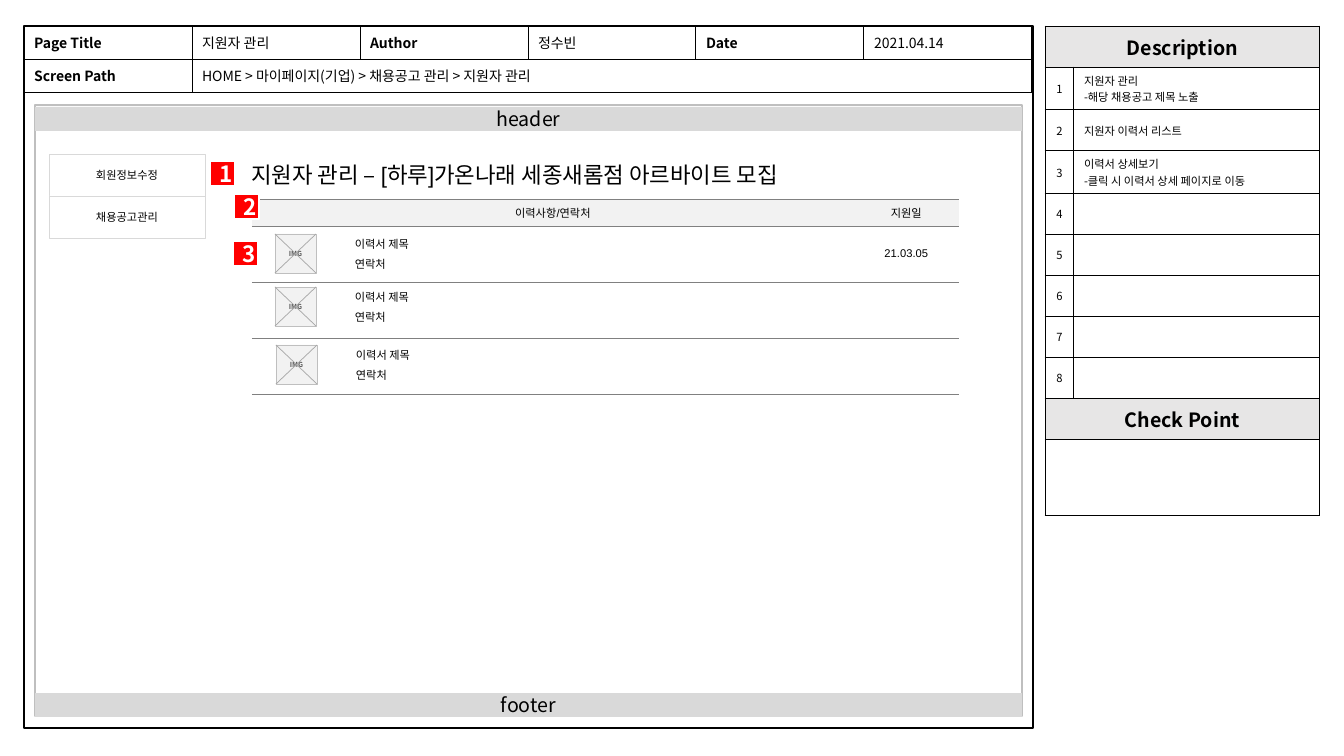
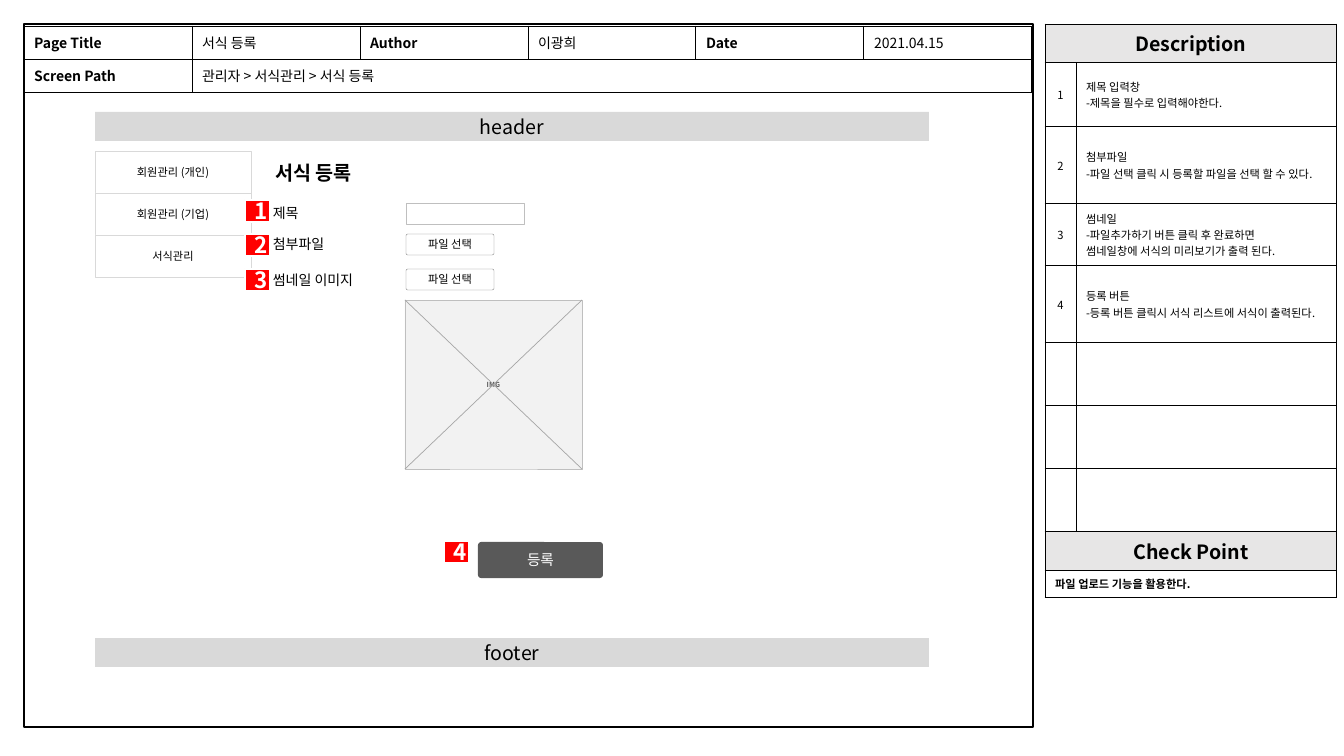
from dataclasses import dataclass

from lxml import etree
from pptx import Presentation
from pptx.dml.color import RGBColor
from pptx.enum.shapes import MSO_CONNECTOR, MSO_SHAPE
from pptx.enum.text import MSO_ANCHOR, MSO_AUTO_SIZE, PP_ALIGN
from pptx.oxml.ns import qn
from pptx.util import Emu, Pt

RECTANGLE = MSO_SHAPE.RECTANGLE
ROUNDED = MSO_SHAPE.ROUNDED_RECTANGLE
STRAIGHT = MSO_CONNECTOR.STRAIGHT
LEFT, CENTER = PP_ALIGN.LEFT, PP_ALIGN.CENTER
TOP, MIDDLE = MSO_ANCHOR.TOP, MSO_ANCHOR.MIDDLE

SLIDE_WIDTH, SLIDE_HEIGHT = 1344, 756
EMU_PER_PX = 12192000 / SLIDE_WIDTH
NOTO, ARIAL, CALIBRI = "Noto Sans CJK KR", "Arial", "Calibri"
BLACK, WHITE, RED = "000000", "FFFFFF", "FF0000"
BAND, HEADING, PALE = "D9D9D9", "E7E6E6", "F2F2F2"
OUTLINE, CROSS, RULE, DARK = "BFBFBF", "A6A6A6", "808080", "595959"
TITLE_ONLY_LAYOUT = 5
MENU_PITCH = 42
BUTTON_ROUNDING = 0.09


@dataclass(frozen=True)
class Box:
    left: int
    top: int
    width: int
    height: int


@dataclass(frozen=True)
class Screen:
    page_title: str
    author: str
    date: str
    screen_path: str
    frame: Box
    header: Box
    footer: Box
    menu: Box
    menu_items: tuple[str, ...]
    note_columns: tuple[int, int]
    note_rows: tuple[int, ...]
    notes: tuple[tuple[str, str], ...]
    check_point: str
    title: str
    title_box: Box
    title_size: int
    title_bold: bool
    badges: tuple[Box, ...]


@dataclass(frozen=True)
class Resume:
    left: int
    top: int


@dataclass(frozen=True)
class Field:
    label: str
    top: int


APPLICANTS = Screen(
    page_title="지원자 관리", author="정수빈", date="2021.04.14",
    screen_path="HOME > 마이페이지(기업) > 채용공고 관리 > 지원자 관리",
    frame=Box(24, 26, 1009, 702),
    header=Box(35, 107, 987, 24), footer=Box(35, 693, 987, 24),
    menu=Box(49, 154, 156, MENU_PITCH),
    menu_items=("회원정보수정", "채용공고관리"),
    note_columns=(29, 246), note_rows=(41,) * 10 + (76,),
    notes=(
        ("1", "지원자 관리\n-해당 채용공고 제목 노출"),
        ("2", "지원자 이력서 리스트"),
        ("3", "이력서 상세보기\n-클릭 시 이력서 상세 페이지로 이동"),
        ("4", ""), ("5", ""), ("6", ""), ("7", ""), ("8", ""),
    ),
    check_point="",
    title="지원자 관리 – [하루]가온나래 세종새롬점 아르바이트 모집",
    title_box=Box(241, 156, 631, 64), title_size=16, title_bold=False,
    badges=(Box(210, 161, 25, 25), Box(234, 194, 25, 25), Box(233, 241, 25, 25)),
)
FORMS = Screen(
    page_title="서식 등록", author="이광희", date="2021.04.15",
    screen_path="관리자 > 서식관리 > 서식 등록",
    frame=Box(24, 24, 1009, 703),
    header=Box(95, 112, 834, 29), footer=Box(95, 638, 834, 29),
    menu=Box(95, 151, 156, MENU_PITCH),
    menu_items=("회원관리 (개인)", "회원관리 (기업)", "서식관리"),
    note_columns=(31, 261), note_rows=(38, 64, 77, 62, 77, 63, 63, 63, 39, 26),
    notes=(
        ("1", "제목 입력창\n-제목을 필수로 입력해야한다."),
        ("2", "첨부파일\n-파일 선택 클릭 시 등록할 파일을 선택 할 수 있다."),
        ("3", "썸네일\n-파일추가하기 버튼 클릭 후 완료하면\n썸네일창에 서식의 미리보기가 출력 된다."),
        ("4", "등록 버튼\n-등록 버튼 클릭시 서식 리스트에 서식이 출력된다."),
        ("", ""), ("", ""), ("", ""),
    ),
    check_point="파일 업로드 기능을 활용한다.",
    title="서식 등록",
    title_box=Box(265, 156, 140, 34), title_size=14, title_bold=True,
    badges=(Box(245, 200, 25, 22), Box(245, 234, 25, 22),
            Box(245, 269, 25, 22), Box(444, 541, 25, 22)),
)
RESUMES = (Resume(275, 234), Resume(275, 287), Resume(276, 345))
FIELDS = (Field("제목", 200), Field("첨부파일", 231), Field("썸네일 이미지", 267))


def px(length: int) -> Emu:
    return Emu(round(length * EMU_PER_PX))


def place(box: Box) -> tuple[Emu, Emu, Emu, Emu]:
    return px(box.left), px(box.top), px(box.width), px(box.height)


def color(value: str) -> RGBColor:
    return RGBColor.from_string(value)


def write_text(frame, text: str, *, size: float = 8, font: str = NOTO,
               ink: str = BLACK, bold: bool = False, align=LEFT) -> None:
    for index, line in enumerate(text.split("\n")):
        paragraph = frame.paragraphs[0] if index == 0 else frame.add_paragraph()
        paragraph.alignment = align
        run = paragraph.add_run()
        run.text = line
        run.font.size = Pt(size)
        run.font.name = font
        run.font.bold = bold
        run.font.color.rgb = color(ink)
        east_asian = etree.Element(qn("a:ea"), typeface=NOTO)
        run._r.get_or_add_rPr().find(qn("a:latin")).addnext(east_asian)


def set_margins(target, margin: int) -> None:
    target.margin_left = target.margin_right = px(margin)
    target.margin_top = target.margin_bottom = px(margin)


def add_box(shapes, box: Box, text: str = "", *, kind=RECTANGLE,
            fill: str | None = None, line: str | None = None,
            line_width: float = 1, margin: int | None = None, **text_format):
    shape = shapes.add_shape(kind, *place(box))
    shape.shadow.inherit = False
    if kind == ROUNDED:
        shape.adjustments[0] = BUTTON_ROUNDING
    if fill:
        shape.fill.solid()
        shape.fill.fore_color.rgb = color(fill)
    else:
        shape.fill.background()
    if line:
        shape.line.color.rgb = color(line)
        shape.line.width = Pt(line_width)
    else:
        shape.line.fill.background()
    if text:
        frame = shape.text_frame
        frame.word_wrap = True
        frame.vertical_anchor = MIDDLE
        if margin is not None:
            set_margins(frame, margin)
        write_text(frame, text, align=CENTER, **text_format)
    return shape


def add_label(slide, box: Box, text: str, **text_format) -> None:
    frame = slide.shapes.add_textbox(*place(box)).text_frame
    frame.word_wrap = True
    write_text(frame, text, **text_format)


def add_image_box(slide, box: Box) -> None:
    group = slide.shapes.add_group_shape()
    add_box(group.shapes, box, "IMG", fill=PALE, line=OUTLINE, line_width=0.5,
            size=5, ink=DARK, bold=True)
    right, bottom = box.left + box.width, box.top + box.height
    for start, end in ((box.left, right), (right, box.left)):
        connector = group.shapes.add_connector(
            STRAIGHT, px(start), px(box.top), px(end), px(bottom))
        connector.line.color.rgb = color(CROSS)
        connector.line.width = Pt(0.5)
        etree.SubElement(connector.element.spPr, qn("a:effectLst"))


def set_borders(cell, ink: str, width: float, sides: str) -> None:
    properties = cell._tc.get_or_add_tcPr()
    for index, side in enumerate("LRTB"):
        border = etree.Element(qn(f"a:ln{side}"), w=str(Pt(width)))
        if side in sides:
            solid = etree.SubElement(border, qn("a:solidFill"))
            etree.SubElement(solid, qn("a:srgbClr"), val=ink)
        else:
            etree.SubElement(border, qn("a:noFill"))
        properties.insert(index, border)


def add_grid(slide, left: int, top: int, columns, rows, *, ink: str = BLACK,
             width: float = 0.75, sides: str = "LRTB"):
    box = Box(left, top, sum(columns), sum(rows))
    table = slide.shapes.add_table(len(rows), len(columns), *place(box)).table
    table.first_row = table.horz_banding = False
    for column, length in zip(table.columns, columns):
        column.width = px(length)
    for row, length in zip(table.rows, rows):
        row.height = px(length)
    for cell in table.iter_cells():
        cell.fill.background()
        set_borders(cell, ink, width, sides)
    return table


def fill_cell(cell, text: str, *, fill: str | None = None,
              margin: int | None = None, **text_format) -> None:
    cell.vertical_anchor = MIDDLE
    if margin is not None:
        set_margins(cell, margin)
    if fill:
        cell.fill.solid()
        cell.fill.fore_color.rgb = color(fill)
    if text:
        write_text(cell.text_frame, text, **text_format)


def add_page_table(slide, screen: Screen) -> None:
    table = add_grid(slide, 24, 26, (168,) * 6, (33, 34))
    table.cell(1, 1).merge(table.cell(1, 5))
    first_row = ("Page Title", screen.page_title, "Author", screen.author,
                 "Date", screen.date)
    for row, texts in enumerate((first_row, ("Screen Path", screen.screen_path))):
        for column, text in enumerate(texts):
            fill_cell(table.cell(row, column), text, fill=WHITE, size=10,
                      bold=column % 2 == 0)


def add_description(slide, screen: Screen) -> None:
    table = add_grid(slide, 1045, screen.frame.top, screen.note_columns,
                     screen.note_rows)
    check_row = len(screen.notes) + 1
    for row in (0, check_row, check_row + 1):
        table.cell(row, 0).merge(table.cell(row, 1))
    for row, text in ((0, "Description"), (check_row, "Check Point")):
        fill_cell(table.cell(row, 0), text, fill=HEADING, size=14, bold=True,
                  align=CENTER)
    for row, (number, note) in enumerate(screen.notes, start=1):
        fill_cell(table.cell(row, 0), number, align=CENTER)
        fill_cell(table.cell(row, 1), note)
    fill_cell(table.cell(check_row + 1, 0), screen.check_point, bold=True)


def add_title(slide, screen: Screen) -> None:
    title = slide.shapes.title
    title.left, title.top, title.width, title.height = place(screen.title_box)
    frame = title.text_frame
    frame.word_wrap = True
    frame.auto_size = MSO_AUTO_SIZE.NONE
    frame.vertical_anchor = TOP
    write_text(frame, screen.title, size=screen.title_size, font=ARIAL,
               bold=screen.title_bold)
    slide.shapes.element.append(title.element)


def add_applicant_list(slide) -> None:
    table = add_grid(slide, 252, 199, (51, 59, 171, 108, 108, 105, 105),
                     (27, 56, 56, 56), ink=RULE, width=0.25, sides="TB")
    table.cell(0, 0).merge(table.cell(0, 5))
    for row, column, text, fill in ((0, 0, "이력사항/연락처", PALE),
                                    (0, 6, "지원일", PALE),
                                    (1, 6, "21.03.05", None)):
        fill_cell(table.cell(row, column), text, fill=fill, margin=0,
                  font=ARIAL, align=CENTER)
    for resume in RESUMES:
        add_image_box(slide, Box(resume.left, resume.top, 41, 39))
        for index, text in enumerate(("이력서 제목", "연락처")):
            box = Box(resume.left + 70, resume.top - 2 + 20 * index, 132, 24)
            add_label(slide, box, text, font=ARIAL)


def add_form(slide) -> None:
    for field in FIELDS:
        add_label(slide, Box(263, field.top, 140, 27), field.label, size=10,
                  font=CALIBRI)
    add_box(slide.shapes, Box(406, 203, 118, 21), line=OUTLINE, line_width=0.5)
    for top in (234, 269):
        add_box(slide.shapes, Box(406, top, 88, 21), "파일 선택", kind=ROUNDED,
                line=RULE, line_width=0.25, margin=0)
    add_image_box(slide, Box(405, 300, 177, 169))
    add_box(slide.shapes, Box(478, 542, 125, 36), "등록", kind=ROUNDED,
            fill=DARK, margin=0, size=10.5, ink=WHITE)


def add_screen(presentation, screen: Screen, add_content, panel: Box | None = None) -> None:
    slide = presentation.slides.add_slide(presentation.slide_layouts[TITLE_ONLY_LAYOUT])
    shapes = slide.shapes
    add_box(shapes, screen.frame, line=BLACK)
    add_description(slide, screen)
    add_page_table(slide, screen)
    if panel:
        add_box(shapes, panel, fill=WHITE, line=OUTLINE)
    for box, text in ((screen.header, "header"), (screen.footer, "footer")):
        add_box(shapes, box, text, fill=BAND, size=14)
    menu = screen.menu
    for index, text in enumerate(screen.menu_items):
        box = Box(menu.left, menu.top + index * MENU_PITCH, menu.width, menu.height)
        add_box(shapes, box, text, fill=WHITE, line=BAND, line_width=0.25)
    add_title(slide, screen)
    add_content(slide)
    for number, box in enumerate(screen.badges, start=1):
        add_box(shapes, box, str(number), fill=RED, line=WHITE, size=16,
                ink=WHITE, bold=True)


def main() -> None:
    presentation = Presentation()
    presentation.slide_width = px(SLIDE_WIDTH)
    presentation.slide_height = px(SLIDE_HEIGHT)
    add_screen(presentation, APPLICANTS, add_applicant_list, Box(35, 105, 987, 611))
    add_screen(presentation, FORMS, add_form)
    presentation.save("out.pptx")


if __name__ == "__main__":
    main()
